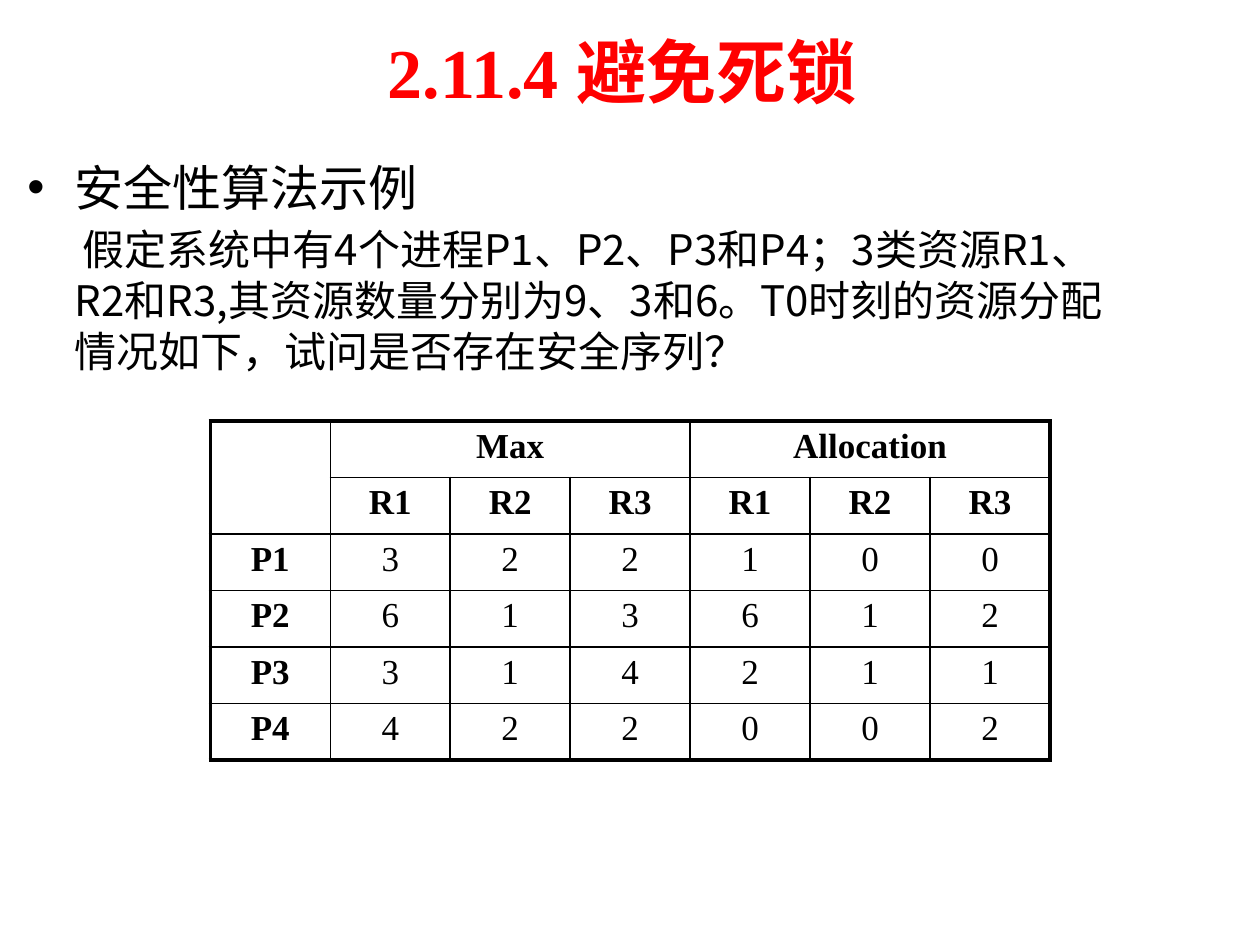
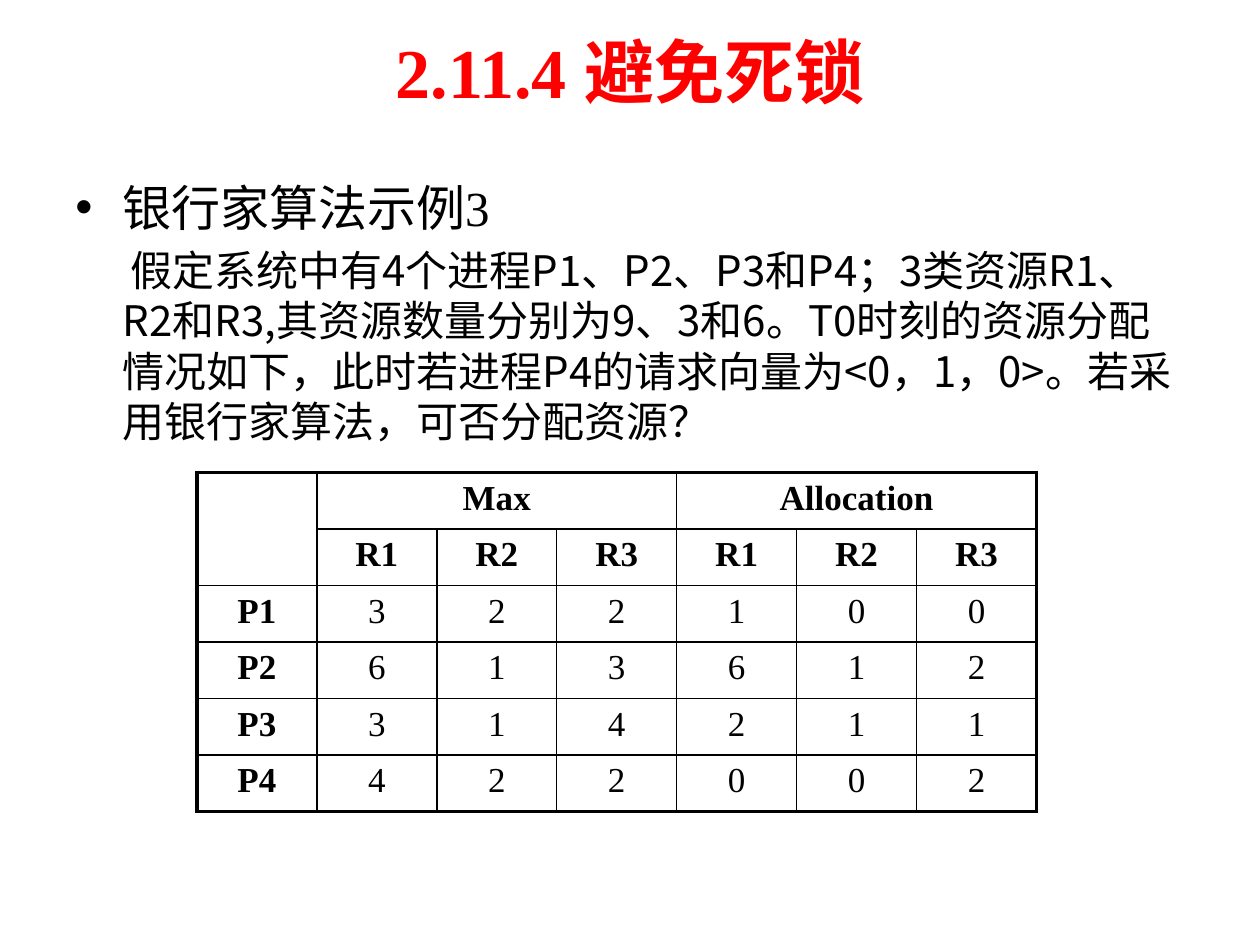
from dataclasses import dataclass

from lxml.etree import SubElement
from pptx import Presentation
from pptx.dml.color import RGBColor
from pptx.enum.text import MSO_ANCHOR, PP_ALIGN
from pptx.oxml.ns import qn
from pptx.util import Pt


@dataclass(frozen=True)
class Theme:
    title_color: RGBColor = RGBColor(0xFF, 0, 0)
    ink: RGBColor = RGBColor(0, 0, 0)
    latin: str = "Times New Roman"
    cjk: str = "Noto Sans CJK SC"
    title_size: float = 40
    topic_size: float = 28
    question_size: float = 24
    table_size: float = 20
    inner_line: float = 1
    outer_line: float = 2.25


THEME = Theme()

SETUP = ("假定系统中有4个进程P1、P2、P3和P4；3类资源R1、R2和R3,"
         "其资源数量分别为9、3和6。T0时刻的资源分配情况如下，")
EXAMPLES = [
    {
        "title": "2.11.4 避免死锁 ",
        "topic": "安全性算法示例",
        "question": SETUP + "试问是否存在安全序列？",
        "body_at": (8.64, 82.8),
        "table_at": (120.2, 240.5),
    },
    {
        "title": "2.11.4 避免死锁",
        "topic": "银行家算法示例3",
        "question": SETUP + "此时若进程P4的请求向量为<0，1，0>。若采用银行家算法，可否分配资源？",
        "body_at": (36, 94.3),
        "table_at": (112.5, 270),
    },
]

RESOURCES = ["R1", "R2", "R3"]
GROUPS = ["Max", "Allocation"]
PROCESSES = {
    "P1": [3, 2, 2, 1, 0, 0],
    "P2": [6, 1, 3, 6, 1, 2],
    "P3": [3, 1, 4, 2, 1, 1],
    "P4": [4, 2, 2, 0, 0, 2],
}
HEADER_ROWS = 2
COLUMN_WIDTH, ROW_HEIGHT = 68.57, 32.3
BODY_SIZE = (648, 356.4)
TEXT_INDENT, BULLET_INDENT, FIRST_LINE_INDENT = 27, -27, 4.6


def style(paragraph, size, color=THEME.ink, bold=False, latin=THEME.latin):
    font = paragraph.font
    font.size, font.bold, font.name = Pt(size), bold, latin
    font.color.rgb = color
    east_asian = SubElement(paragraph._p.pPr.find(qn("a:defRPr")), qn("a:ea"))
    east_asian.set("typeface", THEME.cjk)


def indent(paragraph, first_line, bullet=None):
    properties = paragraph._p.get_or_add_pPr()
    properties.set("marL", str(Pt(TEXT_INDENT)))
    properties.set("indent", str(Pt(first_line)))
    if bullet:
        SubElement(properties, qn("a:buFont")).set("typeface", "Arial")
        SubElement(properties, qn("a:buChar")).set("char", bullet)
    else:
        SubElement(properties, qn("a:buNone"))


def add_title(slide, text):
    title = slide.shapes.title
    title.left, title.top, title.width, title.height = Pt(36), Pt(3.6), Pt(648), Pt(73.4)
    title.text_frame.vertical_anchor = MSO_ANCHOR.MIDDLE
    heading = title.text_frame.paragraphs[0]
    heading.text = text
    heading.alignment = PP_ALIGN.CENTER
    style(heading, THEME.title_size, THEME.title_color, bold=True)


def add_body(slide, example):
    body = slide.shapes.add_textbox(*map(Pt, example["body_at"] + BODY_SIZE)).text_frame
    body.word_wrap = True
    topic, question = body.paragraphs[0], body.add_paragraph()
    topic.text, question.text = example["topic"], example["question"]
    indent(topic, BULLET_INDENT, "•")
    style(topic, THEME.topic_size)
    topic.line_spacing = Pt(37)
    indent(question, FIRST_LINE_INDENT)
    style(question, THEME.question_size, latin=THEME.cjk)
    question.line_spacing = Pt(28.9)
    question.space_before = Pt(4.5)


def add_borders(cell, outer_sides):
    properties = cell._tc.get_or_add_tcPr()
    for position, (side, is_outer) in enumerate(outer_sides.items()):
        line = properties.makeelement(qn(f"a:ln{side}"))
        line.set("w", str(Pt(THEME.outer_line if is_outer else THEME.inner_line)))
        fill = SubElement(line, qn("a:solidFill"))
        SubElement(fill, qn("a:srgbClr")).set("val", str(THEME.ink))
        properties.insert(position, line)


def add_allocation_table(slide, position):
    group_cells = [name for group in GROUPS for name in [group] + [""] * (len(RESOURCES) - 1)]
    rows = [[""] + group_cells, [""] + RESOURCES * len(GROUPS)]
    rows += [[process, *counts] for process, counts in PROCESSES.items()]
    row_count, column_count = len(rows), len(rows[0])
    table = slide.shapes.add_table(
        row_count, column_count, *map(Pt, position),
        Pt(COLUMN_WIDTH * column_count), Pt(ROW_HEIGHT * row_count)).table
    table.first_row = table.horz_banding = False
    for column in table.columns:
        column.width = Pt(COLUMN_WIDTH)
    for row in table.rows:
        row.height = Pt(ROW_HEIGHT)

    table.cell(0, 0).merge(table.cell(HEADER_ROWS - 1, 0))
    for start in range(1, column_count, len(RESOURCES)):
        table.cell(0, start).merge(table.cell(0, start + len(RESOURCES) - 1))

    for r, row in enumerate(rows):
        for c, value in enumerate(row):
            cell = table.cell(r, c)
            cell.fill.background()
            last_column = c + (cell.span_width if cell.is_merge_origin else 1)
            add_borders(cell, {"L": c == 0, "R": last_column == column_count,
                               "T": r == 0, "B": r == row_count - 1})
            entry = cell.text_frame.paragraphs[0]
            entry.text = str(value)
            entry.alignment = PP_ALIGN.CENTER
            style(entry, THEME.table_size, bold=r < HEADER_ROWS or c == 0)


def main():
    deck = Presentation()
    deck.slide_width, deck.slide_height = Pt(720), Pt(540)
    title_only = deck.slide_layouts[5]
    for example in EXAMPLES:
        slide = deck.slides.add_slide(title_only)
        add_title(slide, example["title"])
        add_body(slide, example)
        add_allocation_table(slide, example["table_at"])
    deck.save("out.pptx")


if __name__ == "__main__":
    main()
